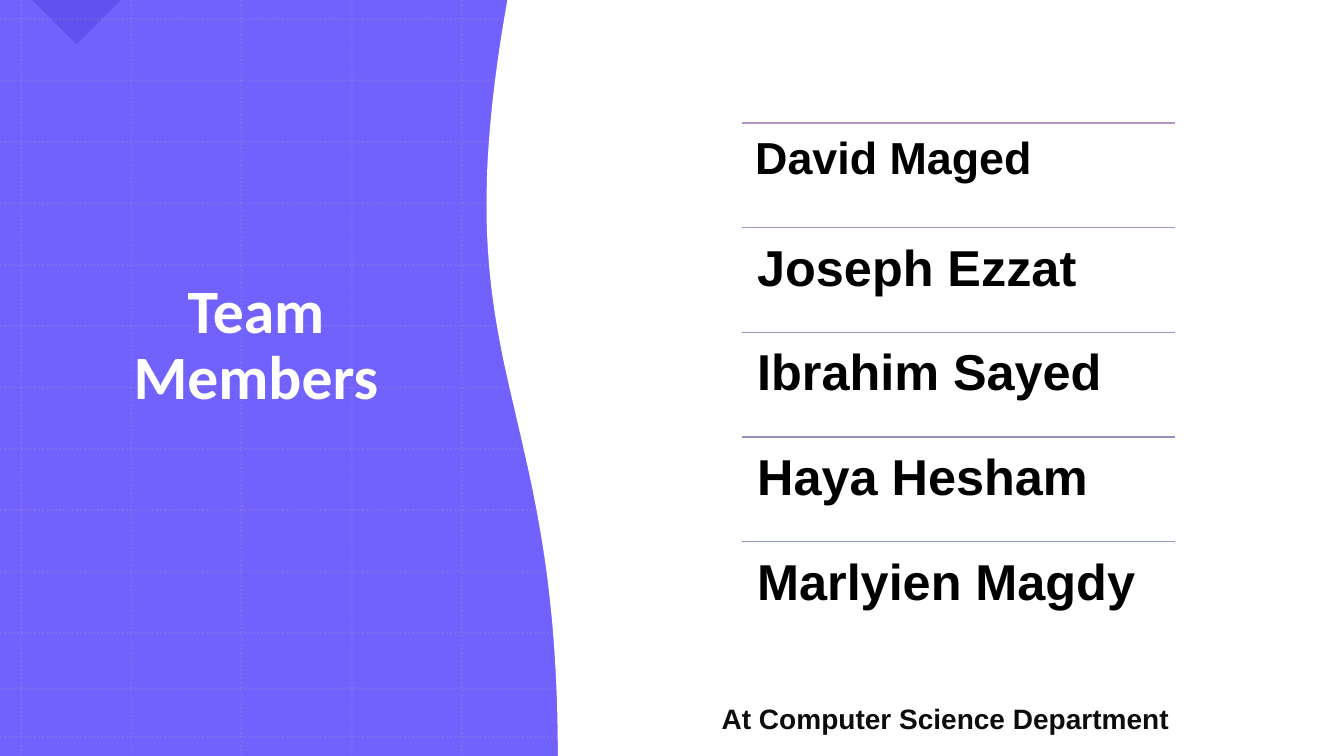
from lxml import etree
from pptx import Presentation, util as u
from pptx.dml.color import RGBColor
from pptx.enum import dml, shapes, text
from pptx.oxml import ns

VIOLET = RGBColor(0x71, 0x62, 0xFE)
INDIGO = RGBColor(0x12, 0x01, 0xAF)
MAUVE = RGBColor(0xB4, 0x95, 0xC2)
WHITE = RGBColor(0xFF, 0xFF, 0xFF)
BLACK = RGBColor(0, 0, 0)
NEAR_BLACK = RGBColor(0x0D, 0x0D, 0x0D)
MEMBERS = [
    ("David Maged", 32, 0.13, MAUVE),
    ("Joseph Ezzat", 36, 0.15, RGBColor(0xA8, 0x93, 0xC0)),
    ("Ibrahim Sayed", 36, 0.15, RGBColor(0x9C, 0x92, 0xBF)),
    ("Haya Hesham", 36, 0.15, RGBColor(0x91, 0x90, 0xBD)),
    ("Marlyien Magdy", 36, 0.15, RGBColor(0x8F, 0x99, 0xBB)),
]

deck = Presentation()
deck.slide_width, deck.slide_height = u.Inches(13.33), u.Inches(7.5)
WIDTH, HEIGHT = deck.slide_width.inches, deck.slide_height.inches
page = deck.slides.add_slide(deck.slide_layouts[6])


def add_rule(x1, y1, x2, y2, color, points):
    rule = page.shapes.add_connector(
        shapes.MSO_CONNECTOR.STRAIGHT, *[u.Inches(v) for v in (x1, y1, x2, y2)])
    rule.line.color.rgb = color
    rule.line.width = u.Pt(points)
    etree.SubElement(rule._element.spPr, ns.qn("a:effectLst"))
    return rule


def add_label(place, words, size, font, color, align, spacing=1.0):
    box = page.shapes.add_textbox(*[u.Inches(v) for v in place])
    box.text_frame.word_wrap = True
    para = box.text_frame.paragraphs[0]
    para.alignment = align
    para.line_spacing = spacing
    span = para.add_run()
    span.text = words
    span.font.size = u.Pt(size)
    span.font.name = font
    span.font.bold = True
    span.font.color.rgb = color
    return box.text_frame


# Violet ground with a corner triangle
ground = page.shapes.add_shape(
    shapes.MSO_SHAPE.RECTANGLE, 0, 0, deck.slide_width, deck.slide_height)
corner = page.shapes.add_shape(
    shapes.MSO_SHAPE.RIGHT_TRIANGLE,
    u.Inches(0.45), u.Inches(-0.31), u.Inches(0.62), u.Inches(0.62))
corner.rotation = 315
for shape, color in ((ground, VIOLET), (corner, INDIGO)):
    shape.shadow.inherit = False
    shape.fill.solid()
    shape.fill.fore_color.rgb = color
    shape.line.fill.background()
tint = corner._element.spPr.find(".//" + ns.qn("a:srgbClr"))
etree.SubElement(tint, ns.qn("a:alpha"), val="17000")

# Dotted grid
columns = [0.21 + 1.093 * i for i in range(5)]
rows = [0.19 + 0.609 * i for i in range(11)] + [6.83, 7.31]
grid = [(x, 0, x, HEIGHT) for x in columns] + [(0, y, WIDTH, y) for y in rows]
for ends in grid:
    dotted = add_rule(*ends, MAUVE, 1.5)
    dotted.line.dash_style = dml.MSO_LINE.ROUND_DOT
    tint = dotted._element.spPr.find(".//" + ns.qn("a:srgbClr"))
    etree.SubElement(tint, ns.qn("a:alpha"), val="20000")

title = add_label((0.5, 0.79, 4.08, 6.05), "Team Members", 44, "Calibri",
                  WHITE, text.PP_ALIGN.CENTER, 0.9)
title.vertical_anchor = text.MSO_ANCHOR.MIDDLE
title.margin_bottom = u.Inches(0.8)

# White panel whose left edge is a cubic curve from bottom to top
curve = [(5.54, HEIGHT), (5.54, 3.76), (4.37, 3.74), (5.04, 0)]
STEPS = 60
edge = []
for step in range(STEPS + 1):
    t = step / STEPS
    weights = ((1 - t) ** 3, 3 * t * (1 - t) ** 2, 3 * t * t * (1 - t), t ** 3)
    edge.append(tuple(sum(w * point[axis] for w, point in zip(weights, curve))
                      for axis in (0, 1)))
outline = page.shapes.build_freeform(WIDTH * 1000, 0, scale=u.Inches(1) / 1000)
outline.add_line_segments(
    [(x * 1000, y * 1000) for x, y in [(WIDTH, HEIGHT)] + edge], close=True)
panel = outline.convert_to_shape()
panel.shadow.inherit = False
panel.fill.solid()
panel.fill.fore_color.rgb = WHITE
panel.line.color.rgb = WHITE
panel.line.width = u.Pt(1)

# Member list
LEFT, TOP, LIST_WIDTH, ROW = 7.36, 1.22, 4.29, 1.038
for i, (name, size, inset, color) in enumerate(MEMBERS):
    y = TOP + i * ROW
    add_rule(LEFT, y, LEFT + LIST_WIDTH, y, color, 1)
    frame = add_label((LEFT, y, LIST_WIDTH, ROW), name, size, "Arial",
                      BLACK, text.PP_ALIGN.LEFT, 0.9)
    frame.margin_left = frame.margin_right = u.Inches(inset)
    frame.margin_top = frame.margin_bottom = u.Inches(inset)

add_label((6.72, 6.91, 5.39, 0.44), "At Computer Science Department ", 20,
          "Arial", NEAR_BLACK, text.PP_ALIGN.CENTER)

deck.save("out.pptx")
